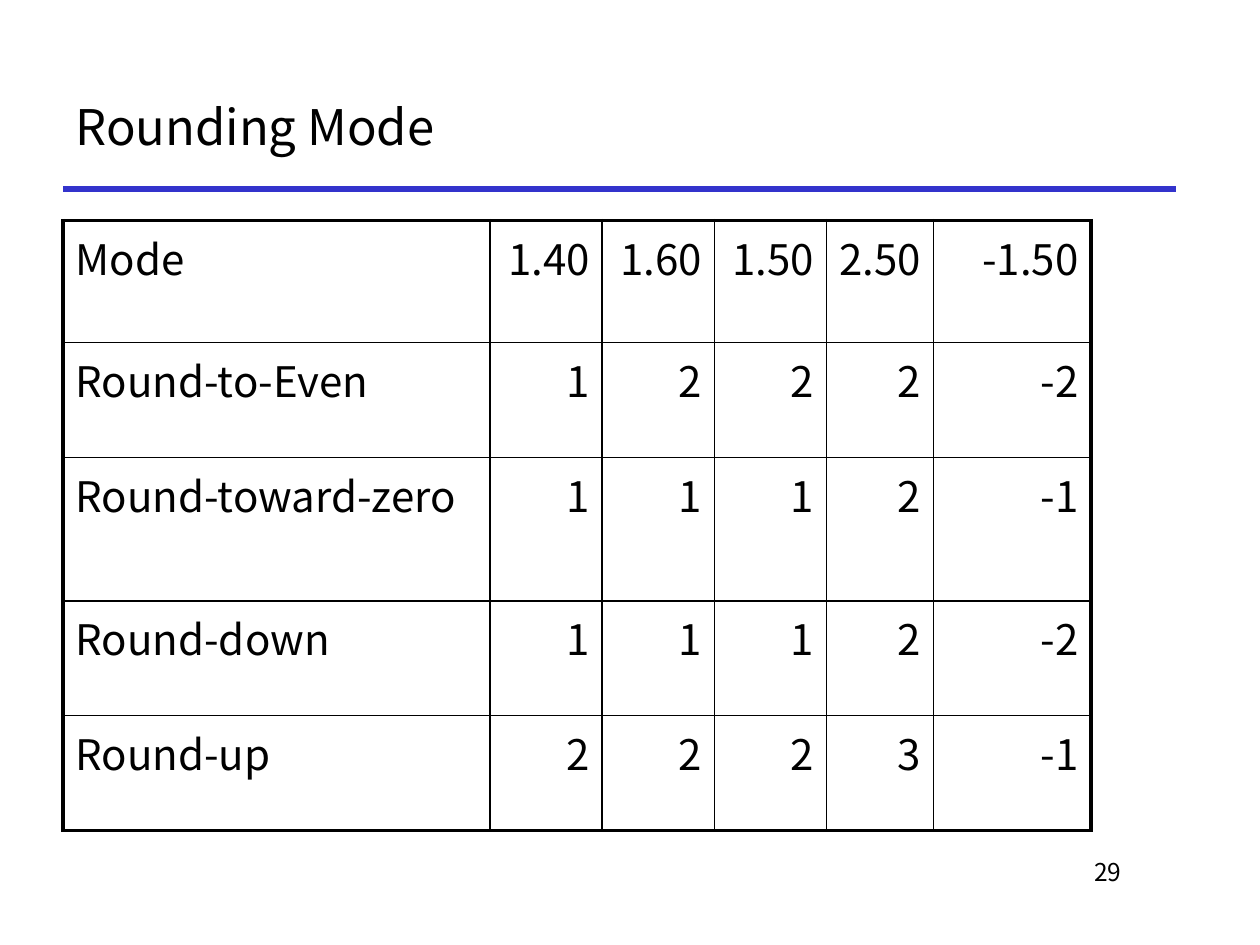
"""Build the slide that compares rounding modes in a table."""
import pptx
import pptx.dml.color
import pptx.enum.shapes
import pptx.enum.text
import pptx.oxml
import pptx.oxml.ns
import pptx.util
from pptx.util import Inches

ALIGN = pptx.enum.text.PP_ALIGN
ANCHOR = pptx.enum.text.MSO_ANCHOR
NS = pptx.oxml.ns.nsdecls("a")


def color(value):
    """Return a colour from a hex string."""
    return pptx.dml.color.RGBColor.from_string(value)


def write(frame, text, size, align=ALIGN.LEFT, space_before=0):
    """Write one formatted paragraph, with its space before in percent."""
    paragraph = frame.paragraphs[0]
    paragraph.alignment = align
    if space_before:
        paragraph._p.get_or_add_pPr().append(pptx.oxml.parse_xml(
            f'<a:spcBef {NS}><a:spcPct val="{space_before * 1000}"/></a:spcBef>'))
    run = paragraph.add_run()
    run.text = text
    run.font.name = "Noto Sans CJK KR"
    run.font.size = pptx.util.Pt(size)
    run.font.color.rgb = color("000000")


presentation = pptx.Presentation()
presentation.slide_width = Inches(10)
presentation.slide_height = Inches(7.5)
slide = presentation.slides.add_slide(presentation.slide_layouts[5])

heading = slide.shapes.title
heading.left, heading.top = Inches(0.5), Inches(0.5)
heading.width, heading.height = Inches(8.83), Inches(1)
heading.text_frame.vertical_anchor = ANCHOR.MIDDLE
write(heading.text_frame, "Rounding Mode", 28)

heading_rule = slide.shapes.add_connector(
    pptx.enum.shapes.MSO_CONNECTOR.STRAIGHT,
    Inches(0.5), Inches(1.5), Inches(9.33), Inches(1.5))
heading_rule.line.color.rgb = color("3333CC")
heading_rule.line.width = pptx.util.Pt(3)
heading_rule._element.spPr.append(pptx.oxml.parse_xml(f"<a:effectLst {NS}/>"))

page_number = slide.shapes.add_textbox(Inches(7.58), Inches(6.75), Inches(1.42), Inches(0.5))
page_number.text_frame.word_wrap = True
write(page_number.text_frame, "29", 14, align=ALIGN.RIGHT)

rounding = [
    ["Mode", "1.40", "1.60", "1.50", "2.50", "-1.50"],
    ["Round-to-Even", "1", "2", "2", "2", "-2"],
    ["Round-toward-zero", "1", "1", "1", "2", "-1"],
    ["Round-down", "1", "1", "1", "2", "-2"],
    ["Round-up", "2", "2", "2", "3", "-1"],
]
column_widths = [3.39, 0.89, 0.89, 0.89, 0.85, 1.25]
row_heights = [0.97, 0.91, 1.14, 0.91, 0.91]
last_row, last_column = len(row_heights) - 1, len(column_widths) - 1

modes = slide.shapes.add_table(
    len(row_heights), len(column_widths),
    Inches(0.5), Inches(1.75), Inches(8.17), Inches(4.83)).table
modes.first_row = False
modes.horz_banding = False
for column, width in zip(modes.columns, column_widths):
    column.width = Inches(width)
for row, height in zip(modes.rows, row_heights):
    row.height = Inches(height)

for r, values in enumerate(rounding):
    for c, value in enumerate(values):
        cell = modes.cell(r, c)
        write(cell.text_frame, value, 24, space_before=20,
              align=ALIGN.RIGHT if c else ALIGN.LEFT)
        outer_edges = {"L": c == 0, "R": c == last_column, "T": r == 0, "B": r == last_row}
        for side, outer in outer_edges.items():
            border_width = pptx.util.Pt(2.25 if outer else 1)
            cell._tc.get_or_add_tcPr().append(pptx.oxml.parse_xml(
                f'<a:ln{side} {NS} w="{border_width}"><a:solidFill>'
                f'<a:srgbClr val="000000"/></a:solidFill></a:ln{side}>'))
        cell.fill.background()

presentation.save("out.pptx")
